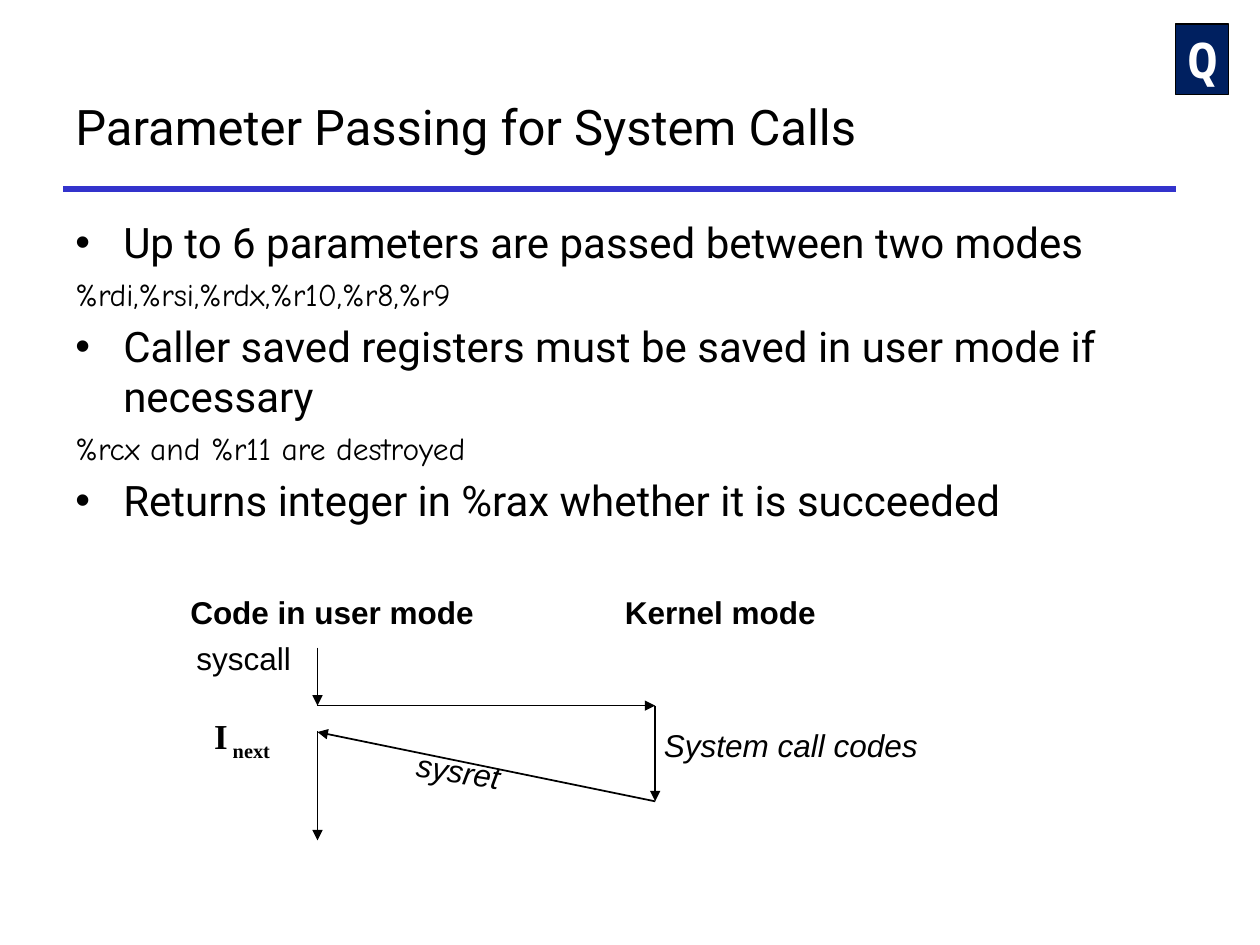
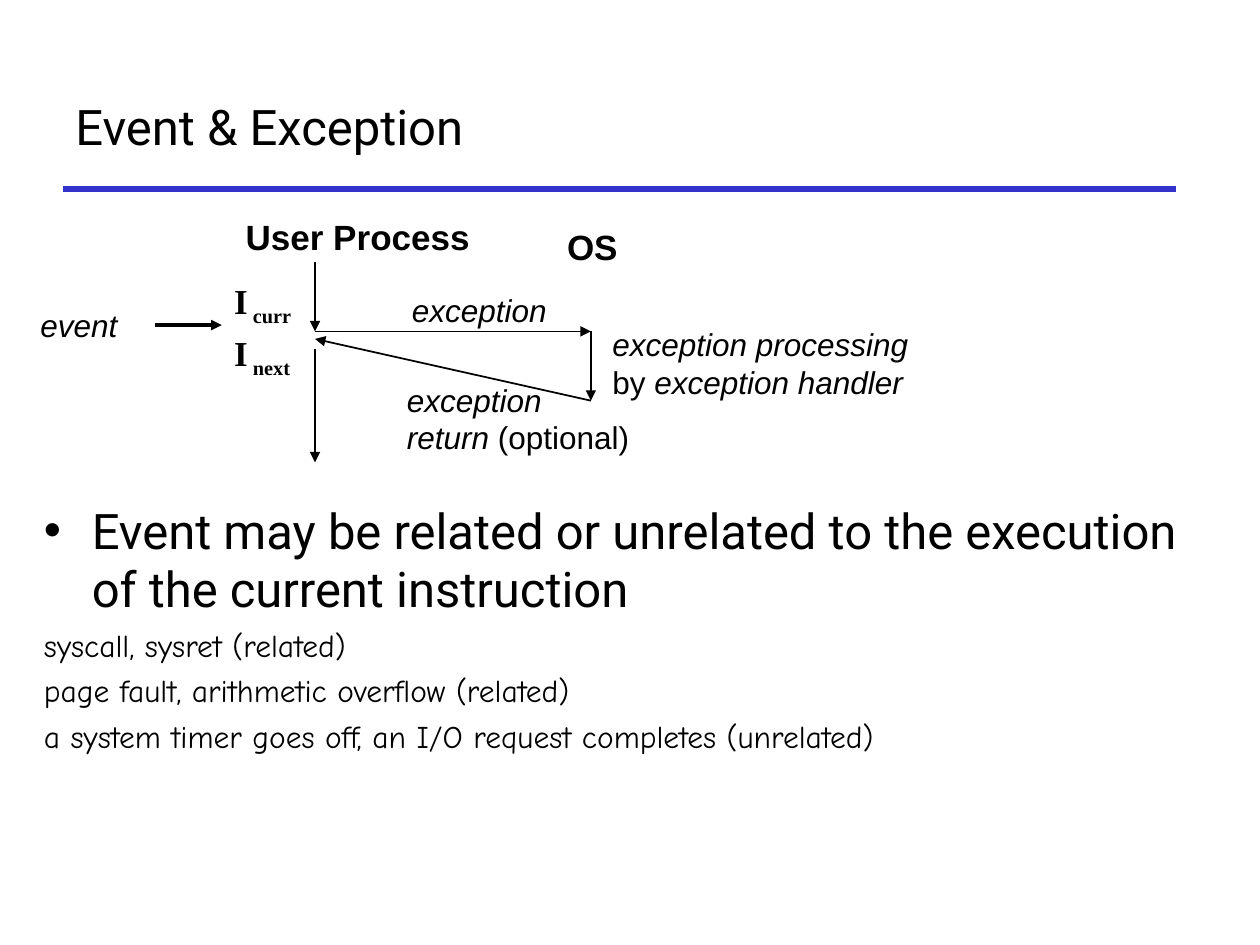
from lxml.etree import SubElement
from pptx import Presentation
from pptx.dml.color import RGBColor
from pptx.enum.shapes import MSO_CONNECTOR, MSO_SHAPE
from pptx.enum.text import MSO_ANCHOR, MSO_AUTO_SIZE, PP_ALIGN
from pptx.oxml.ns import qn
from pptx.util import Inches, Pt

COLORS = {"text": "000000", "rule": "3333CC", "badge": "002060", "white": "FFFFFF"}
FONTS = {"main": "Roboto", "detail": "Comic Neue", "label": "Arial",
         "code": "Times New Roman", "badge": "Noto Sans Mono"}


def rgb(name):
    """Return the named colour."""
    return RGBColor.from_string(COLORS[name])


def add_run(p, text, size, font, color="text", bold=False, italic=False):
    """Append a formatted run to a paragraph."""
    r = p.add_run()
    r.text = text
    r.font.size = Pt(size)
    r.font.name = FONTS[font]
    r.font.color.rgb = rgb(color)
    r.font.bold = bold
    r.font.italic = italic
    return r


def add_box(s, x, y, w, h, wrap=True, inset=(0.1, 0.05)):
    """Add an empty text box and return its shape."""
    sp = s.shapes.add_textbox(Inches(x), Inches(y), Inches(w), Inches(h))
    tf = sp.text_frame
    tf.word_wrap = wrap
    tf.margin_left = tf.margin_right = Inches(inset[0])
    tf.margin_top = tf.margin_bottom = Inches(inset[1])
    return sp


def add_line(s, start, end, width=1, color="text", arrow=True):
    """Draw a straight line, with an arrowhead at its end by default."""
    cx = s.shapes.add_connector(MSO_CONNECTOR.STRAIGHT,
                                *(Inches(v) for v in (*start, *end)))
    cx.line.color.rgb = rgb(color)
    cx.line.width = Pt(width)
    if arrow:
        SubElement(cx.line._get_or_add_ln(), qn("a:tailEnd"), type="triangle")
    SubElement(cx._element.spPr, qn("a:effectLst"))


def add_titled_slide(prs, title):
    """Add a blank slide with the shared title and rule."""
    s = prs.slides.add_slide(prs.slide_layouts[6])
    add_line(s, (0.5, 1.5), (9.33, 1.5), 3, "rule", arrow=False)
    tf = add_box(s, 0.5, 0.5, 8.83, 1).text_frame
    tf.vertical_anchor = MSO_ANCHOR.MIDDLE
    add_run(tf.paragraphs[0], title, 28, "main")
    return s


def add_body(s, x, y, w, h, size, items):
    """Add body text from (is_bullet, text) pairs."""
    tf = add_box(s, x, y, w, h).text_frame
    for i, (is_bullet, text) in enumerate(items):
        p = tf.add_paragraph() if i else tf.paragraphs[0]
        if i:
            p.space_before = Pt(4.5)
        pPr = p._p.get_or_add_pPr()
        indent = Inches(0.38) if is_bullet else 0
        pPr.set("marL", str(indent))
        pPr.set("indent", str(-indent))
        if is_bullet:
            SubElement(pPr, qn("a:buFont"), typeface="Arial")
            SubElement(pPr, qn("a:buChar"), char="•")
            add_run(p, text, size, "main")
        else:
            p.level = 1
            SubElement(pPr, qn("a:buNone"))
            add_run(p, text, 18, "detail")


def add_label(s, x, y, w, h, lines, size=18, bold=False, wrap=False,
              inset=(0.07, 0.04)):
    """Add a diagram label; each line is a list of (text, italic) pairs."""
    sp = add_box(s, x, y, w, h, wrap, inset)
    tf = sp.text_frame
    tf.auto_size = MSO_AUTO_SIZE.SHAPE_TO_FIT_TEXT
    for i, line in enumerate(lines):
        p = tf.add_paragraph() if i else tf.paragraphs[0]
        for text, italic in line:
            add_run(p, text, size, "label", bold=bold, italic=italic)
    return sp


def add_heading(s, x, y, w, h, text, size):
    """Add a bold column heading of a diagram."""
    add_label(s, x, y, w, h, [[(text, False)]], size, bold=True)


def add_instruction(s, x, y, w, h, name):
    """Add an instruction symbol I with a subscript."""
    tf = add_box(s, x, y, w, h, wrap=False).text_frame
    tf.auto_size = MSO_AUTO_SIZE.SHAPE_TO_FIT_TEXT
    p = tf.paragraphs[0]
    add_run(p, "I", 20, "code", bold=True)
    r = add_run(p, f" {name}", 20, "code", bold=True)
    r._r.get_or_add_rPr().set("baseline", "-25000")


def add_badge(s, text):
    """Add the letter badge in the top right corner."""
    sp = s.shapes.add_shape(MSO_SHAPE.RECTANGLE, Inches(9.33), Inches(0.19),
                            Inches(0.42), Inches(0.56))
    sp.shadow.inherit = False
    sp.fill.solid()
    sp.fill.fore_color.rgb = rgb("badge")
    sp.line.color.rgb = rgb("text")
    sp.line.width = Pt(0.75)
    tf = sp.text_frame
    tf.vertical_anchor = MSO_ANCHOR.MIDDLE
    p = tf.paragraphs[0]
    p.alignment = PP_ALIGN.CENTER
    add_run(p, text, 28, "badge", "white", bold=True)


def add_control_flow(s, user_x, kernel_x, start, call, handled, back, resume, end):
    """Draw the arrows from user code to the kernel and back, given their heights."""
    add_line(s, (user_x, start), (user_x, call))
    add_line(s, (user_x, call), (kernel_x, call))
    add_line(s, (kernel_x, call), (kernel_x, handled))
    add_line(s, (kernel_x, handled), (user_x, back))
    add_line(s, (user_x, resume), (user_x, end))


def build_system_calls(prs):
    """Build the slide on parameter passing."""
    s = add_titled_slide(prs, "Parameter Passing for System Calls")
    add_body(s, 0.5, 1.67, 8.92, 2.8, 24, [
        (True, "Up to 6 parameters are passed between two modes"),
        (False, "%rdi,%rsi,%rdx,%r10,%r8,%r9"),
        (True, "Caller saved registers must be saved in user mode if necessary"),
        (False, "%rcx and %r11 are destroyed"),
        (True, "Returns integer in %rax whether it is succeeded"),
    ])
    add_heading(s, 1.44, 4.67, 2.81, 0.57, "Code in user mode", 18)
    add_heading(s, 4.89, 4.67, 1.95, 0.57, "Kernel mode", 18)
    add_control_flow(s, 2.52, 5.2, start=5.14, call=5.6, handled=6.36,
                     back=5.81, resume=5.8, end=6.67)
    add_label(s, 5.2, 5.72, 2.8, 0.57, [[("System call codes", True)]], wrap=True)
    sysret = add_label(s, 3.22, 5.94, 0.96, 0.57, [[("sysret", True)]])
    sysret.rotation = 9.4
    add_label(s, 1.46, 5.02, 1.11, 0.61, [[("syscall", False)]], inset=(0.1, 0.05))
    add_instruction(s, 1.6, 5.62, 0.81, 0.66, "next")
    add_badge(s, "Q")


def build_exceptions(prs):
    """Build the slide on events and exceptions."""
    s = add_titled_slide(prs, "Event & Exception")
    add_body(s, 0.25, 3.92, 9.58, 3.1, 28, [
        (True, "Event may be related or unrelated to the execution "
               "of the current instruction"),
        (False, "syscall, sysret (related)"),
        (False, "page fault, arithmetic overflow (related)"),
        (False, "a system timer goes off, an I/O request completes (unrelated)"),
    ])
    add_heading(s, 1.88, 1.67, 1.94, 0.45, "User Process", 20)
    add_heading(s, 4.43, 1.75, 0.55, 0.41, "OS", 20)
    add_control_flow(s, 2.5, 4.69, start=2.08, call=2.63, handled=3.18,
                     back=2.69, resume=2.77, end=3.67)
    add_label(s, 3.2, 2.27, 1.23, 0.31, [[("exception", True)]])
    add_label(s, 4.79, 2.54, 3.12, 0.75, [
        [("exception processing", True)],
        [("by ", False), ("exception handler", True)],
    ], wrap=True)
    add_label(s, 3.16, 2.98, 1.93, 0.68, [
        [("exception", True)],
        [("return ", True), ("(optional)", False)],
    ])
    add_label(s, 0.25, 2.39, 0.9, 0.38, [[("event", True)]], wrap=True)
    add_instruction(s, 1.76, 2.17, 0.71, 0.44, "curr")
    add_instruction(s, 1.76, 2.58, 0.7, 0.44, "next")
    add_line(s, (1.23, 2.58), (1.76, 2.58), 2)


def main():
    """Build and save the presentation."""
    prs = Presentation()
    prs.slide_width = Inches(10)
    prs.slide_height = Inches(7.5)
    build_system_calls(prs)
    build_exceptions(prs)
    prs.save("out.pptx")


if __name__ == "__main__":
    main()
